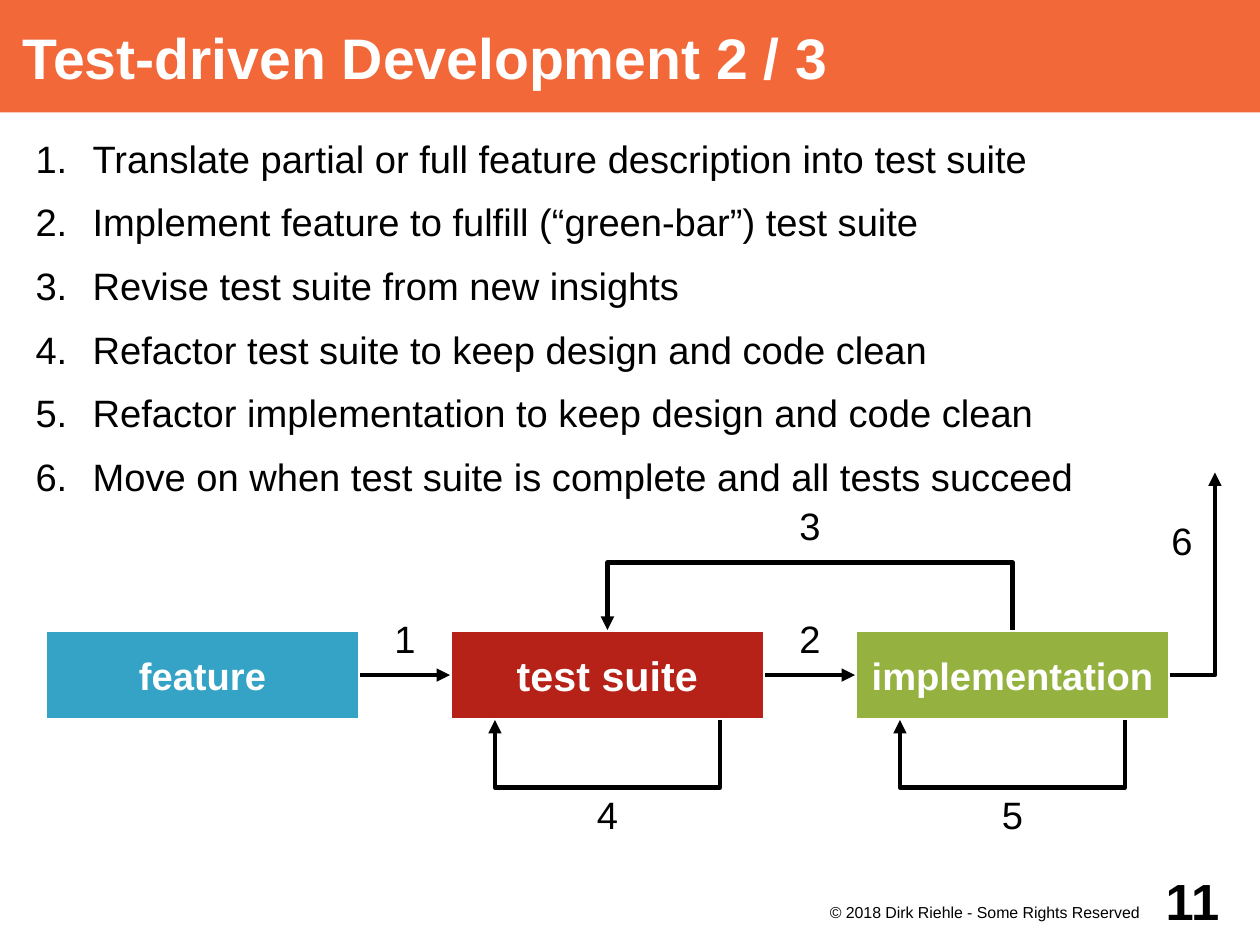
from lxml.etree import SubElement
from pptx import Presentation
from pptx.dml.color import RGBColor
from pptx.enum.shapes import MSO_CONNECTOR, MSO_SHAPE
from pptx.enum.text import MSO_ANCHOR, PP_ALIGN
from pptx.oxml.ns import qn
from pptx.util import Inches, Pt

TITLE = "Test-driven Development 2 / 3"
STEPS = [
    "Translate partial or full feature description into test suite",
    "Implement feature to fulfill (“green-bar”) test suite",
    "Revise test suite from new insights",
    "Refactor test suite to keep design and code clean",
    "Refactor implementation to keep design and code clean",
    "Move on when test suite is complete and all tests succeed",
]
STAGES = [("feature", "34A3C5", 24), ("test suite", "B62118", 26), ("implementation", "95B241", 24)]
FOOTER = "© 2018 Dirk Riehle - Some Rights Reserved"
PAGE = "11"

BLACK, WHITE, ORANGE = "000000", "FFFFFF", "F36838"
LINE_WIDTH = 2.83

# The layout follows a one-centimetre grid
SLIDE_W, SLIDE_H = 28, 21
STAGE_LEFT, STAGE_TOP, STAGE_W, STAGE_H = 1, 14, 7, 2
STAGE_BOTTOM = STAGE_TOP + STAGE_H
FLOW_Y = STAGE_TOP + STAGE_H / 2
GAP = 2
LOOP_INSET, LOOP_DEPTH = 1, 1.5
LABEL_H = 1.35


def grid(units):
    """Turn grid centimetres into a slide length."""
    return Inches(round(units / 2.54, 6))


def color(hex_code):
    return RGBColor.from_string(hex_code)


prs = Presentation()
prs.slide_width, prs.slide_height = grid(SLIDE_W), grid(SLIDE_H)
slide = prs.slides.add_slide(prs.slide_layouts[6])


def write(shape, lines, size=24, ink=BLACK, bold=False, align=PP_ALIGN.CENTER,
          anchor=MSO_ANCHOR.MIDDLE, insets=(0.2,) * 4, wrap=True, after=0):
    """Fill a shape with one paragraph per line; insets are left, top, right, bottom."""
    frame = shape.text_frame
    frame.word_wrap = wrap
    frame.vertical_anchor = anchor
    frame.margin_left, frame.margin_top, frame.margin_right, frame.margin_bottom = map(grid, insets)
    for index, line in enumerate(lines):
        paragraph = frame.paragraphs[0] if index == 0 else frame.add_paragraph()
        paragraph.alignment = align
        paragraph.space_after = Pt(after)
        run = paragraph.add_run()
        run.text = line
        run.font.name, run.font.size, run.font.bold = "Arial", Pt(size), bold
        run.font.color.rgb = color(ink)
    return frame


def add_text(box, lines, **style):
    return write(slide.shapes.add_textbox(*map(grid, box)), lines, **style)


def add_box(box, fill, border=None):
    shape = slide.shapes.add_shape(MSO_SHAPE.RECTANGLE, *map(grid, box))
    shape.shadow.inherit = False
    shape.fill.solid()
    shape.fill.fore_color.rgb = color(fill)
    if border:
        shape.line.color.rgb = color(border)
        shape.line.width = Pt(LINE_WIDTH)
    else:
        shape.line.fill.background()
    return shape


def add_arrow(*points):
    """Draw a straight or angled line that ends in an arrowhead."""
    start, *rest = [(grid(x), grid(y)) for x, y in points]
    if len(rest) == 1:
        arrow = slide.shapes.add_connector(MSO_CONNECTOR.STRAIGHT, *start, *rest[0])
    else:
        builder = slide.shapes.build_freeform(*start)
        builder.add_line_segments(rest, close=False)
        arrow = builder.convert_to_shape()
        arrow.fill.background()
    arrow.line.color.rgb = color(BLACK)
    arrow.line.width = Pt(LINE_WIDTH)
    outline = arrow.line._get_or_add_ln()
    SubElement(outline, qn("a:round"))
    SubElement(outline, qn("a:tailEnd"), type="triangle")
    SubElement(arrow._element.spPr, qn("a:effectLst"))


def number_paragraphs(frame):
    for paragraph in frame.paragraphs:
        properties = paragraph._p.get_or_add_pPr()
        properties.set("marL", str(grid(1.56)))
        properties.set("indent", str(grid(-1.27)))
        SubElement(properties, qn("a:buFont"), typeface="Arial")
        SubElement(properties, qn("a:buAutoNum"), type="arabicPeriod")


write(add_box((0, 0, SLIDE_W, 2.5), ORANGE), [TITLE], size=36, ink=WHITE, bold=True,
      align=PP_ALIGN.LEFT, insets=(0.5, 0, 0, 0))
number_paragraphs(add_text((0.5, 3, 27, 15), STEPS, align=PP_ALIGN.LEFT,
                           anchor=MSO_ANCHOR.TOP, insets=(0,) * 4, after=11.3))

lefts = [STAGE_LEFT + i * (STAGE_W + GAP) for i in range(len(STAGES))]
for left, (name, fill, size) in zip(lefts, STAGES):
    write(add_box((left, STAGE_TOP, STAGE_W, STAGE_H), fill, WHITE), [name],
          size=size, ink=WHITE, bold=True, wrap=False)

# Steps 1 and 2: forward to the next stage
for number, left in zip("12", lefts):
    gap_left = left + STAGE_W
    add_arrow((gap_left, FLOW_Y), (gap_left + GAP, FLOW_Y))
    add_text((gap_left, 13.5, GAP, LABEL_H), [number])

# Step 3: back from implementation to test suite
suite_mid, code_mid = (left + STAGE_W / 2 for left in lefts[1:])
back_y = STAGE_TOP - LOOP_DEPTH
add_arrow((code_mid, STAGE_TOP), (code_mid, back_y), (suite_mid, back_y), (suite_mid, STAGE_TOP))
add_text((suite_mid, 11, code_mid - suite_mid, LABEL_H), ["3"])

# Steps 4 and 5: loop below a stage
loop_y = STAGE_BOTTOM + LOOP_DEPTH
for number, left in zip("45", lefts[1:]):
    loop_left, loop_right = left + LOOP_INSET, left + STAGE_W - LOOP_INSET
    add_arrow((loop_right, STAGE_BOTTOM), (loop_right, loop_y),
              (loop_left, loop_y), (loop_left, STAGE_BOTTOM))
    add_text((loop_left, loop_y, loop_right - loop_left, 1.17), [number])

# Step 6: leave the cycle
exit_left = lefts[-1] + STAGE_W
exit_right = exit_left + LOOP_INSET
add_arrow((exit_left, FLOW_Y), (exit_right, FLOW_Y), (exit_right, 10.5))
add_text((exit_right - 2, 10.7, 2, 2.6), ["6"], align=PP_ALIGN.RIGHT, insets=(0.5,) * 4)

add_text((18, 20, 8, 1), [FOOTER], size=10, align=PP_ALIGN.RIGHT,
         anchor=MSO_ANCHOR.TOP, insets=(0, 0.05, 0.68, 0))
add_text((25.5, 19, 2.5, 2), [PAGE], size=32, bold=True, align=PP_ALIGN.RIGHT,
         insets=(0, 0, 0.9, 0))

prs.save("out.pptx")
